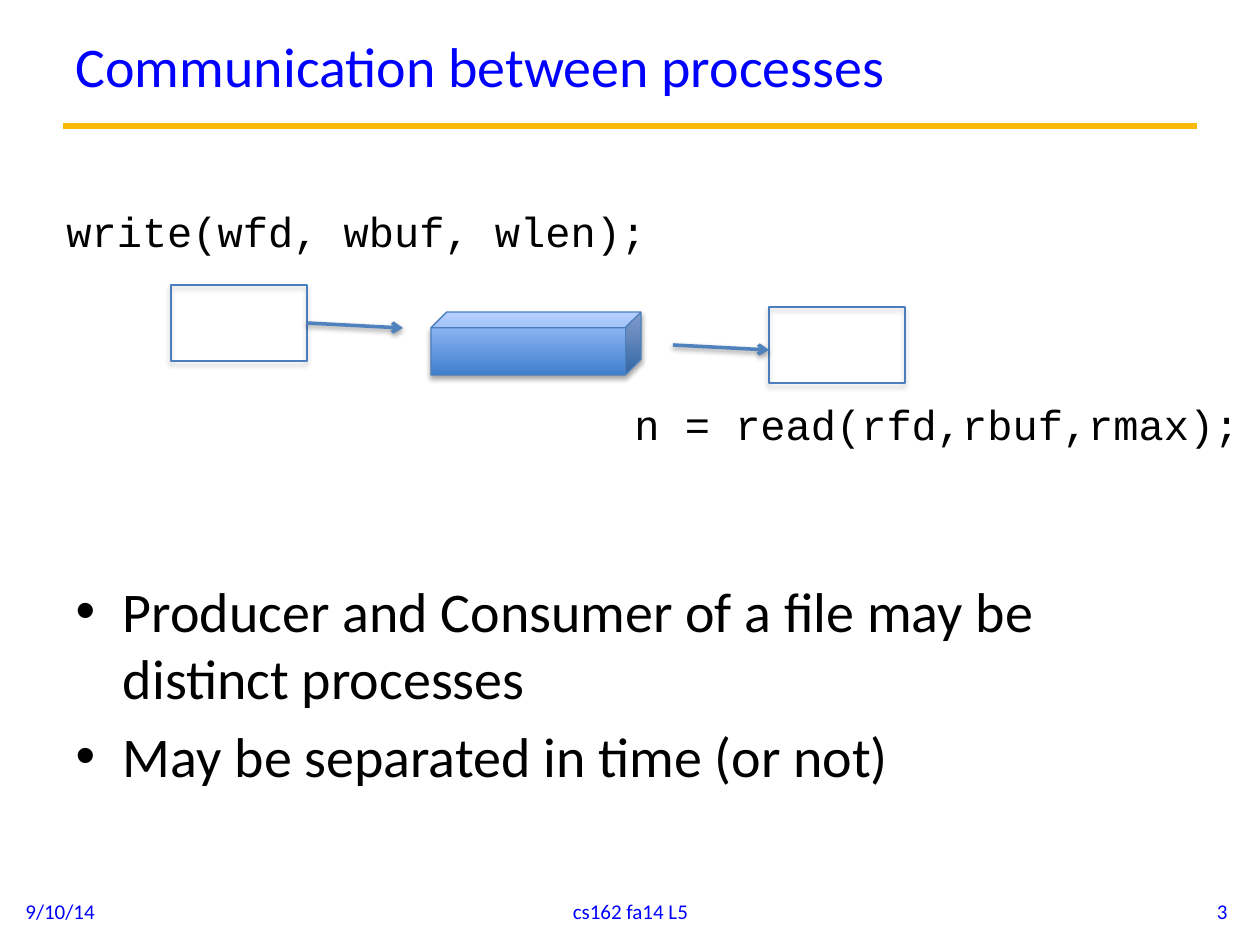
"""Build the slide on communication between processes."""
from dataclasses import dataclass
from typing import Any, NamedTuple

from lxml.etree import SubElement
from pptx import Presentation
from pptx.dml.color import RGBColor
from pptx.enum.shapes import MSO_CONNECTOR, MSO_SHAPE
from pptx.enum.text import MSO_ANCHOR, MSO_AUTO_SIZE, PP_ALIGN
from pptx.oxml.ns import qn
from pptx.util import Emu, Pt


@dataclass(frozen=True)
class Theme:
    """Colours, fonts and type sizes."""
    blue: str = "0000FF"
    black: str = "000000"
    gold: str = "FBBA03"
    edge: str = "4B7EBC"
    arrow: str = "4F81BD"
    deep: str = "3F80CE"
    pale: str = "A4C4FF"
    sans: str = "Calibri"
    mono: str = "Courier New"
    large: int = 32
    code: int = 24
    small: int = 12


class Area(NamedTuple):
    """Left, top, width and height in px."""
    left: int
    top: int
    width: int
    height: int


class Label(NamedTuple):
    """A text box with its type."""
    text: str
    area: Area
    font: str
    size: int
    color: str
    align: Any = PP_ALIGN.LEFT
    anchor: Any = MSO_ANCHOR.MIDDLE


class Arrow(NamedTuple):
    """End points in px."""
    ends: tuple[int, int, int, int]


THEME = Theme()
DPI = 126
WIDE, HIGH = 1260, 945
TITLE = Area(63, 5, 1134, 121)
BODY = Area(63, 570, 1134, 299)
RULE = (63, 126, 1197, 126)
POINTS = (
    "Producer and Consumer of a file may be distinct processes",
    "May be separated in time (or not)",
)
SMALL = (THEME.sans, THEME.small, THEME.blue)
CODE = (THEME.mono, THEME.code, THEME.black, PP_ALIGN.LEFT, MSO_ANCHOR.TOP)
LABELS = (
    Label("9/10/14", Area(13, 886, 294, 50), *SMALL),
    Label("cs162 fa14 L5", Area(431, 886, 399, 50), *SMALL, PP_ALIGN.CENTER),
    Label("3", Area(946, 886, 294, 50), *SMALL, PP_ALIGN.RIGHT),
    Label("write(wfd, wbuf, wlen);", Area(54, 199, 644, 63), *CODE),
    Label("n = read(rfd,rbuf,rmax);", Area(622, 392, 636, 63), *CODE),
)
PIPE = Area(431, 312, 210, 63)
WRITER = Area(171, 285, 136, 76)
READER = Area(769, 307, 136, 76)
SEND = Arrow((307, 323, 403, 328))
FETCH = Arrow((673, 345, 769, 350))


def px(count: int) -> Emu:
    """Turn px into EMU."""
    return Emu(round(count * 914400 / DPI))


def apply(item: Any, values: dict[str, Any]) -> None:
    """Set attributes from format values."""
    for name, value in values.items():
        setattr(item, name, value)


def style(part: Any, font: str, size: int, color: str) -> None:
    """Set the font of a paragraph."""
    apply(part.font, {"name": font, "size": Pt(size)})
    part.font.color.rgb = RGBColor.from_string(color)


def stroke(shape: Any, color: str, width: float) -> None:
    """Set the line of a shape."""
    shape.line.color.rgb = RGBColor.from_string(color)
    shape.line.width = Pt(width)


def shade(shape: Any, alpha: int = 0, drop: float = 0) -> None:
    """Add a soft shadow below, or none when alpha is zero."""
    effect = SubElement(shape.element.spPr, qn("a:effectLst"))
    if alpha:
        cast = SubElement(effect, qn("a:outerShdw"), blurRad=str(Pt(3.1)),
                          dist=str(Pt(drop)), dir="5400000", rotWithShape="0")
        tint = SubElement(cast, qn("a:srgbClr"), val=THEME.black)
        SubElement(tint, qn("a:alpha"), val=str(alpha * 1000))


def fill_holder(holder: Any, area: Area, lines: tuple[str, ...],
                color: str, anchor: Any) -> None:
    """Move a placeholder and fill it."""
    apply(holder, dict(zip(area._fields, map(px, area))))
    frame = holder.text_frame
    frame.text = "\n".join(lines)
    apply(frame, {"auto_size": MSO_AUTO_SIZE.NONE, "vertical_anchor": anchor})
    for part in frame.paragraphs:
        part.alignment = PP_ALIGN.LEFT
        style(part, THEME.sans, THEME.large, color)
    frame.paragraphs[0].space_before = Pt(0)


def draw_label(shapes: Any, label: Label) -> None:
    """Draw one text box."""
    frame = shapes.add_textbox(*map(px, label.area)).text_frame
    apply(frame, {"word_wrap": True, "vertical_anchor": label.anchor})
    part = frame.paragraphs[0]
    apply(part, {"text": label.text, "alignment": label.align})
    style(part, label.font, label.size, label.color)


def draw_block(shapes: Any, kind: Any, area: Area) -> Any:
    """Draw an unfilled outline with a shadow."""
    block = shapes.add_shape(kind, *map(px, area))
    block.fill.background()
    stroke(block, THEME.edge, 0.75)
    shade(block, 35, 1.8)
    return block


def draw_pipe(shapes: Any) -> None:
    """Draw the cube between the processes."""
    fill = draw_block(shapes, MSO_SHAPE.CUBE, PIPE).fill
    fill.gradient()
    fill.gradient_angle = 90
    for stop, color in zip(fill.gradient_stops, (THEME.deep, THEME.pale)):
        stop.color.rgb = RGBColor.from_string(color)


def draw_line(shapes: Any, ends: tuple[int, ...], color: str,
              width: float) -> Any:
    """Draw a straight line."""
    line = shapes.add_connector(MSO_CONNECTOR.STRAIGHT, *map(px, ends))
    stroke(line, color, width)
    return line


def draw_arrow(shapes: Any, arrow: Arrow) -> Any:
    """Draw an arrow with a shadow."""
    line = draw_line(shapes, arrow.ends, THEME.arrow, 2)
    SubElement(line.line._get_or_add_ln(), qn("a:tailEnd"), type="arrow")
    shade(line, 38, 1.6)
    return line


def main() -> None:
    """Build and save the slide."""
    deck = Presentation()
    apply(deck, {"slide_width": px(WIDE), "slide_height": px(HIGH)})
    slide = deck.slides.add_slide(deck.slide_layouts[1])
    shapes = slide.shapes
    shade(draw_line(shapes, RULE, THEME.gold, 3.75))
    fill_holder(shapes.title, TITLE, ("Communication between processes",),
                THEME.blue, MSO_ANCHOR.MIDDLE)
    fill_holder(slide.placeholders[1], BODY, POINTS,
                THEME.black, MSO_ANCHOR.TOP)
    for label in LABELS:
        draw_label(shapes, label)
    draw_pipe(shapes)
    writer = draw_block(shapes, MSO_SHAPE.RECTANGLE, WRITER)
    draw_arrow(shapes, SEND).begin_connect(writer, 3)
    draw_block(shapes, MSO_SHAPE.RECTANGLE, READER)
    draw_arrow(shapes, FETCH)
    deck.save("out.pptx")


if __name__ == "__main__":
    main()
